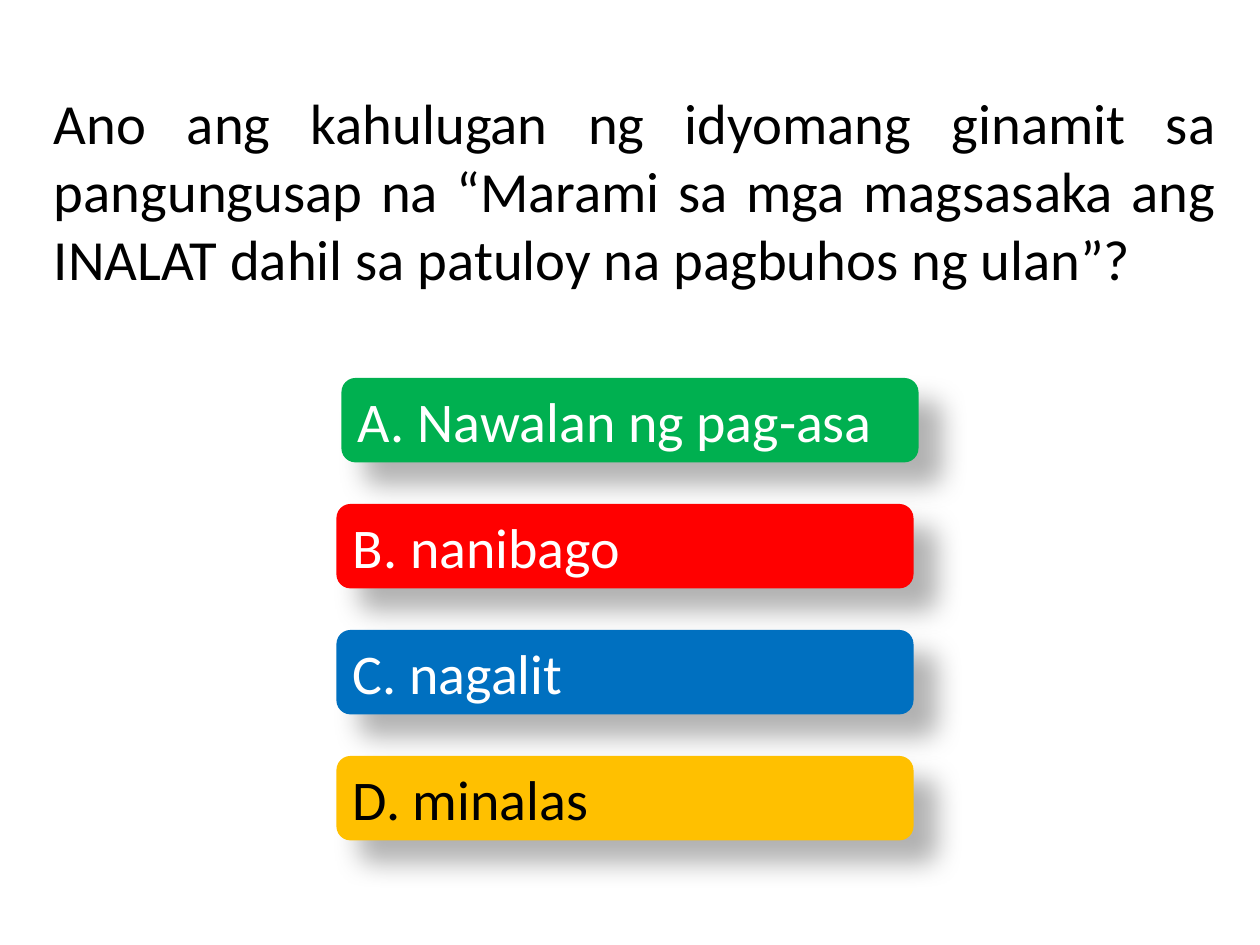
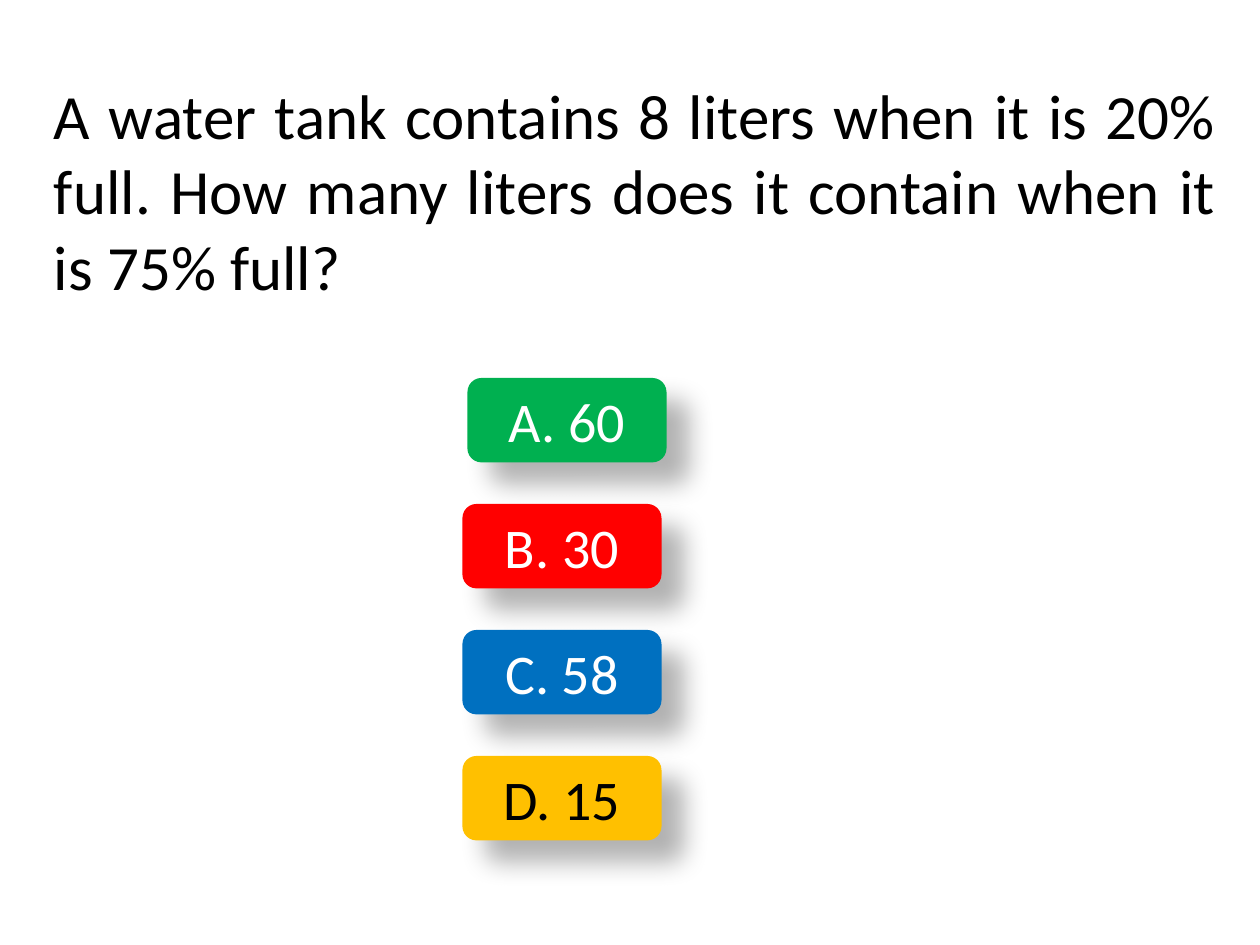
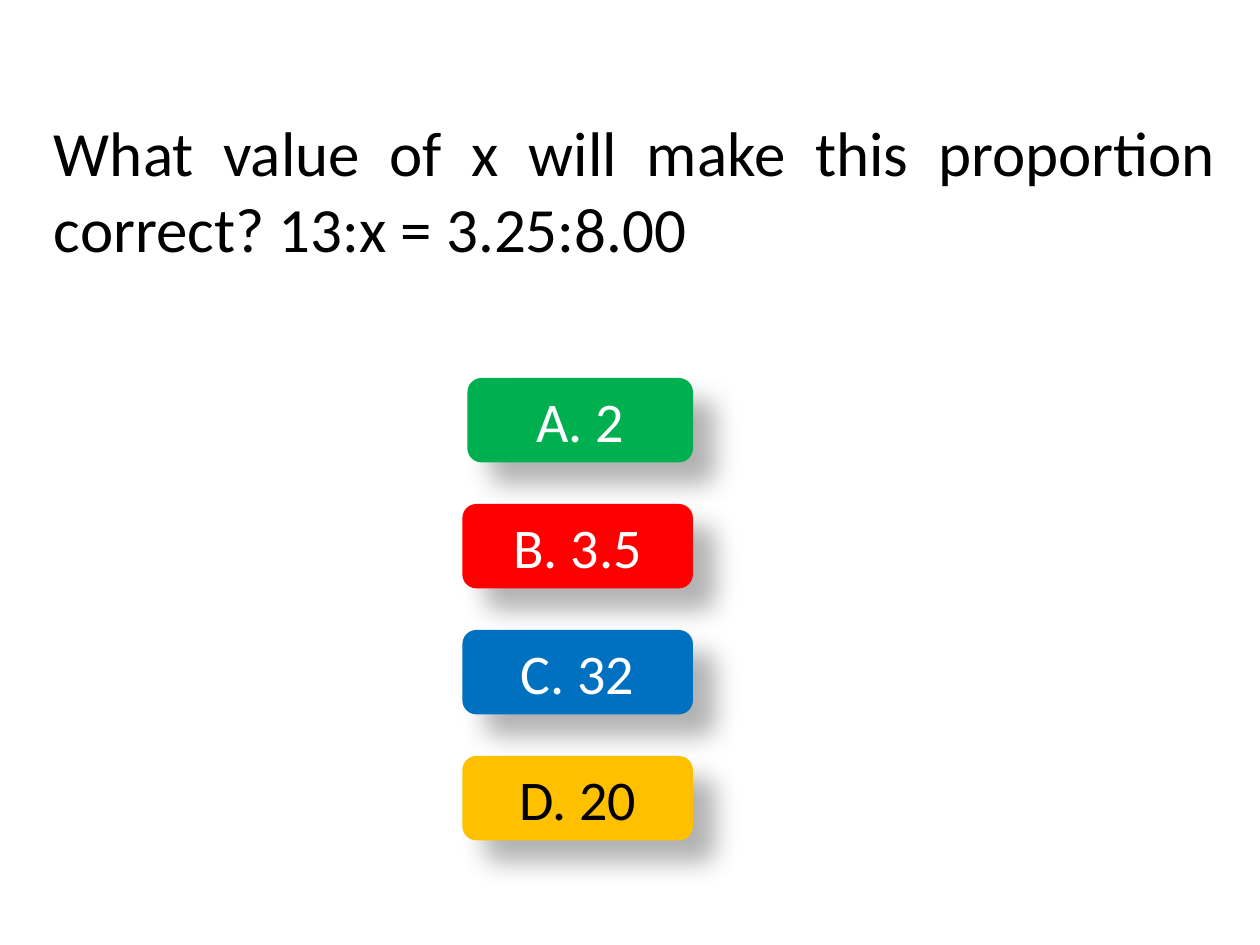
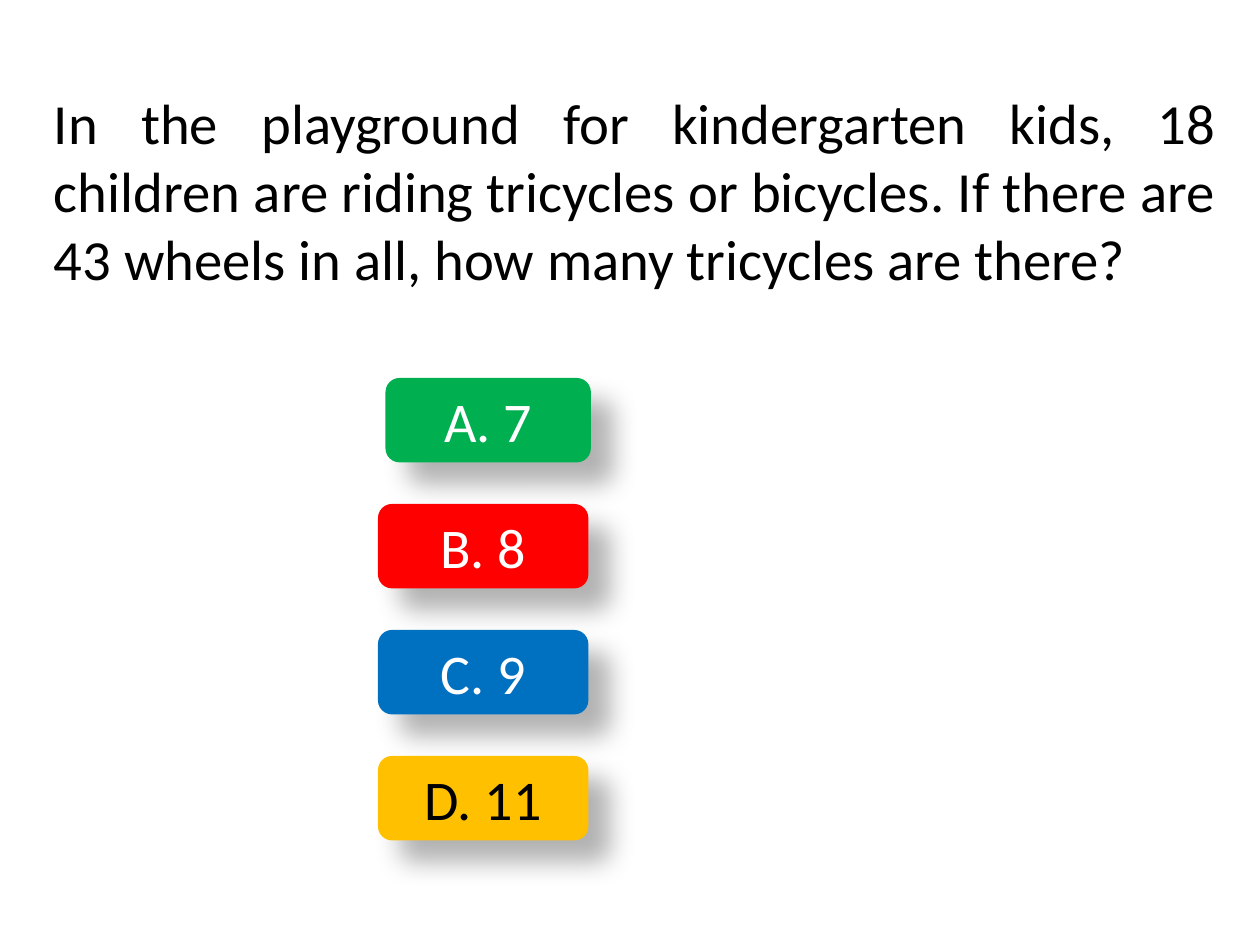
from dataclasses import dataclass

from lxml import etree
from pptx import Presentation
from pptx.dml.color import RGBColor
from pptx.enum.shapes import MSO_SHAPE
from pptx.enum.text import MSO_ANCHOR, PP_ALIGN
from pptx.oxml.ns import qn
from pptx.util import Inches, Pt

ROUNDED = MSO_SHAPE.ROUNDED_RECTANGLE
MIDDLE = MSO_ANCHOR.MIDDLE
JUSTIFY = PP_ALIGN.JUSTIFY
CENTER = PP_ALIGN.CENTER
BLANK_LAYOUT = 6


@dataclass(frozen=True)
class Theme:
    font: str = "Calibri"
    black: str = "000000"
    white: str = "FFFFFF"
    green: str = "00B050"
    red: str = "FF0000"
    blue: str = "0070C0"
    amber: str = "FFC000"
    question_size: float = 36
    long_question_size: float = 32.4
    answer_size: float = 32


THEME = Theme()
ANSWER_COLORS = [
    (THEME.green, THEME.white),
    (THEME.red, THEME.white),
    (THEME.blue, THEME.white),
    (THEME.amber, THEME.black),
]
ANSWER_TOP, ANSWER_STEP, ANSWER_HEIGHT = 3, 1, 0.67

# Question, type size, answer alignment, (left, width) of the first answer
# and of the others, answers
QUIZ = [
    ("Ano ang kahulugan ng idyomang ginamit sa pangungusap na “Marami sa mga "
     "magsasaka ang INALAT dahil sa patuloy na pagbuhos ng ulan”?",
     THEME.long_question_size, JUSTIFY, (2.71, 4.58), (2.67, 4.58),
     ["A. Nawalan ng pag-asa", "B. nanibago", "C. nagalit", "D. minalas"]),
    ("A water tank contains 8 liters when it is 20% full. How many liters "
     "does it contain when it is 75% full?",
     THEME.question_size, CENTER, (3.71, 1.58), (3.67, 1.58),
     ["A. 60", "B. 30", "C. 58", "D. 15"]),
    ("What value of x will make this proportion correct? 13:x = 3.25:8.00",
     THEME.question_size, CENTER, (3.71, 1.79), (3.67, 1.83),
     ["A. 2", "B. 3.5", "C. 32", "D. 20"]),
    ("In the playground for kindergarten kids, 18 children are riding "
     "tricycles or bicycles. If there are 43 wheels in all, how many "
     "tricycles are there?",
     THEME.long_question_size, CENTER, (3.06, 1.63), (3, 1.67),
     ["A. 7", "B. 8", "C. 9", "D. 11"]),
]


def write_text(box, text, size, color, alignment):
    frame = box.text_frame
    frame.word_wrap = True
    frame.vertical_anchor = MIDDLE
    para = frame.paragraphs[0]
    para.text = text
    para.alignment = alignment
    para.font.name = THEME.font
    para.font.size = Pt(size)
    para.font.color.rgb = RGBColor.from_string(color)


def add_soft_shadow(shape):
    """Cast a blurred black shadow to the lower right."""
    shape.shadow.inherit = False
    effects = shape._element.spPr.find(qn("a:effectLst"))
    shadow = etree.SubElement(
        effects, qn("a:outerShdw"), blurRad=str(Pt(15)), dist=str(Pt(18)),
        dir=str(45 * 60000), algn="tl", rotWithShape="0")
    color = etree.SubElement(shadow, qn("a:srgbClr"), val=THEME.black)
    etree.SubElement(color, qn("a:alpha"), val="30000")


deck = Presentation()
deck.slide_width = Inches(10)
deck.slide_height = Inches(7.5)

for question, size, alignment, first_place, other_place, answers in QUIZ:
    page = deck.slides.add_slide(deck.slide_layouts[BLANK_LAYOUT])
    question_box = page.shapes.add_textbox(
        Inches(0.33), Inches(0.42), Inches(9.42), Inches(2.17))
    write_text(question_box, question, size, THEME.black, JUSTIFY)

    for row, (answer, (fill, ink)) in enumerate(zip(answers, ANSWER_COLORS)):
        left, width = first_place if row == 0 else other_place
        button = page.shapes.add_shape(
            ROUNDED, Inches(left), Inches(ANSWER_TOP + row * ANSWER_STEP),
            Inches(width), Inches(ANSWER_HEIGHT))
        button.fill.solid()
        button.fill.fore_color.rgb = RGBColor.from_string(fill)
        button.line.fill.background()
        add_soft_shadow(button)
        write_text(button, answer, THEME.answer_size, ink, alignment)

deck.save("out.pptx")
